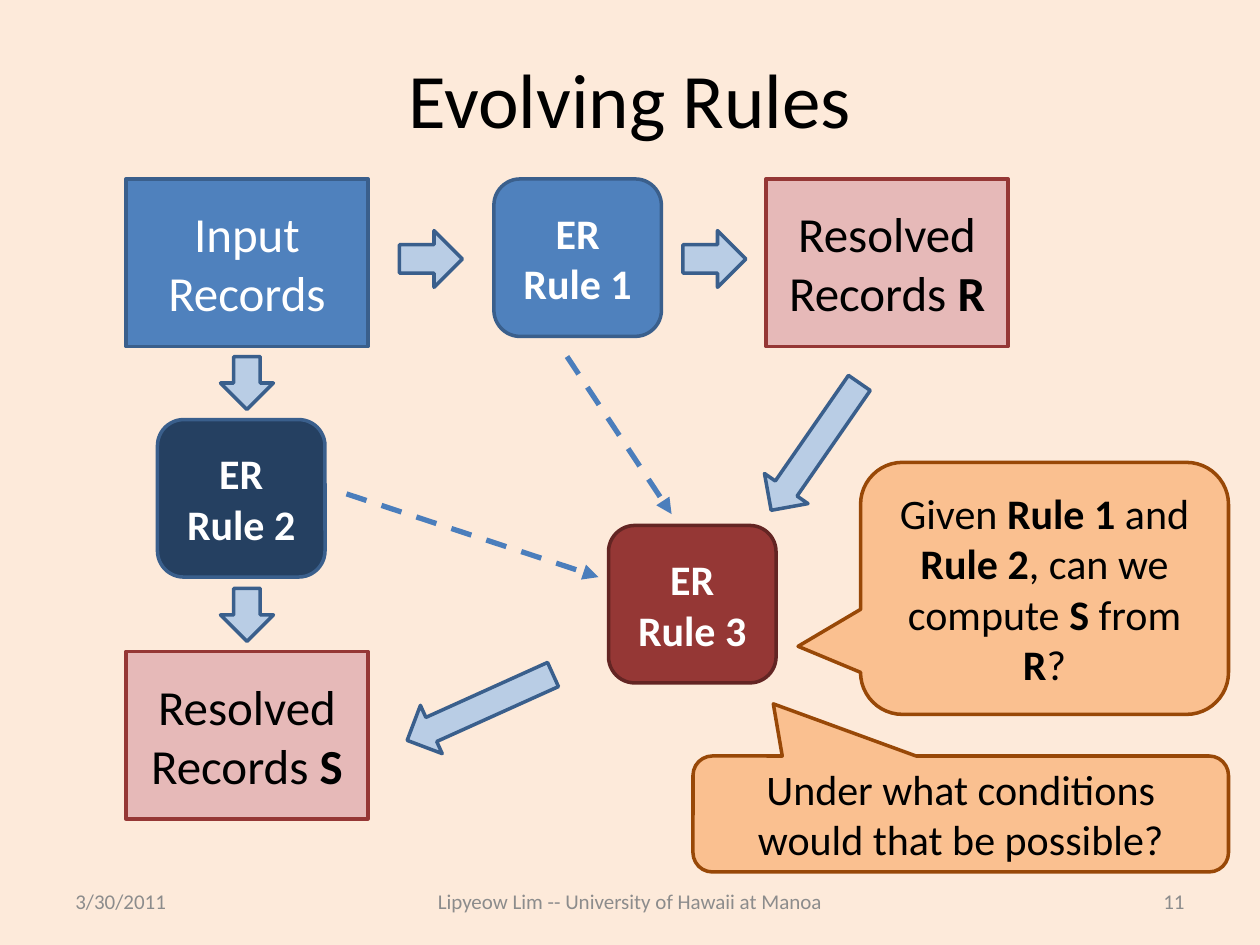
from lxml.etree import SubElement
from pptx import Presentation
from pptx.dml.color import RGBColor
from pptx.enum.dml import MSO_LINE as Dash
from pptx.enum.shapes import MSO_CONNECTOR as Conn, MSO_SHAPE as Geo
from pptx.enum.text import MSO_ANCHOR as Anchor, PP_ALIGN as Align
from pptx.oxml.ns import qn
from pptx.util import Inches, Pt

BLACK = RGBColor(0x00, 0x00, 0x00)
WHITE = RGBColor(0xFF, 0xFF, 0xFF)
CREAM = RGBColor(0xFD, 0xEA, 0xDA)
GRAY = RGBColor(0x8C, 0x8C, 0x8C)
BLUE = RGBColor(0x4F, 0x81, 0xBD)
EDGE = RGBColor(0x3A, 0x5F, 0x8C)
PALE = RGBColor(0xB9, 0xCD, 0xE5)
NAVY = RGBColor(0x25, 0x40, 0x61)
DASH = RGBColor(0x4B, 0x7E, 0xBC)
PINK = RGBColor(0xE6, 0xB9, 0xB8)
RED = RGBColor(0x95, 0x37, 0x35)
WINE = RGBColor(0x63, 0x25, 0x23)
PEACH = RGBColor(0xFA, 0xC0, 0x90)
BROWN = RGBColor(0x98, 0x48, 0x07)


def write(shape, text, size, color, align=Align.CENTER):
    frame = shape.text_frame
    frame.word_wrap = True
    frame.vertical_anchor = Anchor.MIDDLE
    para = frame.paragraphs[0]
    para.alignment = align
    for i, part in enumerate(text.split("*")):
        if part:
            run = para.add_run()
            run.text = part
            run.font.name = "Calibri"
            run.font.size = Pt(size)
            run.font.bold = i % 2 == 1
            run.font.color.rgb = color


def draw(geo, box, fill, edge):
    shape = slide.shapes.add_shape(geo, *map(Inches, box))
    shape.shadow.inherit = False
    shape.fill.solid()
    shape.fill.fore_color.rgb = fill
    shape.line.color.rgb = edge
    shape.line.width = Pt(2)
    return shape


prs = Presentation()
prs.slide_width, prs.slide_height = Inches(10), Inches(7.5)
slide = prs.slides.add_slide(prs.slide_layouts[5])
slide.background.fill.solid()
slide.background.fill.fore_color.rgb = CREAM

title = slide.shapes.title
title.left, title.top = Inches(0.5), Inches(0.3)
title.width, title.height = Inches(9), Inches(0.95)
write(title, "Evolving Rules", 44, BLACK)

for x, w, text, align in [
    (0.5, 2.33, "3/30/2011", Align.LEFT),
    (3, 4, "Lipyeow Lim -- University of Hawaii at Manoa", Align.CENTER),
    (7.17, 2.33, "11", Align.RIGHT),
]:
    foot = slide.shapes.add_textbox(Inches(x), Inches(6.95), Inches(w), Inches(0.4))
    write(foot, text, 12, GRAY, align)

for x, y, text, fill, edge, ink in [
    (1, 1.42, "Input Records", BLUE, EDGE, WHITE),
    (6.08, 1.42, "Resolved Records *R*", PINK, RED, BLACK),
    (1, 5.17, "Resolved Records *S*", PINK, RED, BLACK),
]:
    write(draw(Geo.RECTANGLE, (x, y, 1.92, 1.33), fill, edge), text, 28, ink)

for x, y, text, fill, edge in [
    (3.92, 1.42, "*ER Rule 1*", BLUE, EDGE),
    (1.25, 3.33, "*ER Rule 2*", NAVY, EDGE),
    (4.83, 4.17, "*ER Rule 3*", RED, WINE),
]:
    rule = draw(Geo.ROUNDED_RECTANGLE, (x, y, 1.33, 1.25), fill, edge)
    write(rule, text, 24, WHITE)

for geo, box, turn in [
    (Geo.RIGHT_ARROW, (3.17, 1.83, 0.5, 0.45), 0),
    (Geo.RIGHT_ARROW, (5.42, 1.83, 0.5, 0.45), 0),
    (Geo.DOWN_ARROW, (1.75, 2.83, 0.42, 0.42), 0),
    (Geo.DOWN_ARROW, (1.75, 4.67, 0.42, 0.42), 0),
    (Geo.DOWN_ARROW, (6.26, 2.93, 0.42, 1.23), 34.7),
    (Geo.DOWN_ARROW, (3.6, 4.98, 0.42, 1.27), 65.7),
]:
    draw(geo, box, PALE, EDGE).rotation = turn

for ends in [(2.75, 3.92, 4.75, 4.58), (4.5, 2.83, 5.33, 4.08)]:
    link = slide.shapes.add_connector(Conn.STRAIGHT, *map(Inches, ends))
    link.line.color.rgb = DASH
    link.line.width = Pt(3)
    link.line.dash_style = Dash.DASH
    SubElement(link.line._get_or_add_ln(), qn("a:tailEnd"), type="triangle")
    SubElement(link._element.spPr, qn("a:effectLst"))

for box, tip, text in [
    ((6.83, 3.67, 2.92, 2), (-0.67, 0.23),
     "Given *Rule 1* and *Rule 2*, can we compute *S* from *R*?"),
    ((5.5, 6, 4.25, 0.92), (-0.35, -0.95),
     "Under what conditions would that be possible?"),
]:
    note = draw(Geo.ROUNDED_RECTANGULAR_CALLOUT, box, PEACH, BROWN)
    note.adjustments[0], note.adjustments[1] = tip
    write(note, text, 24, BLACK)

prs.save("out.pptx")
